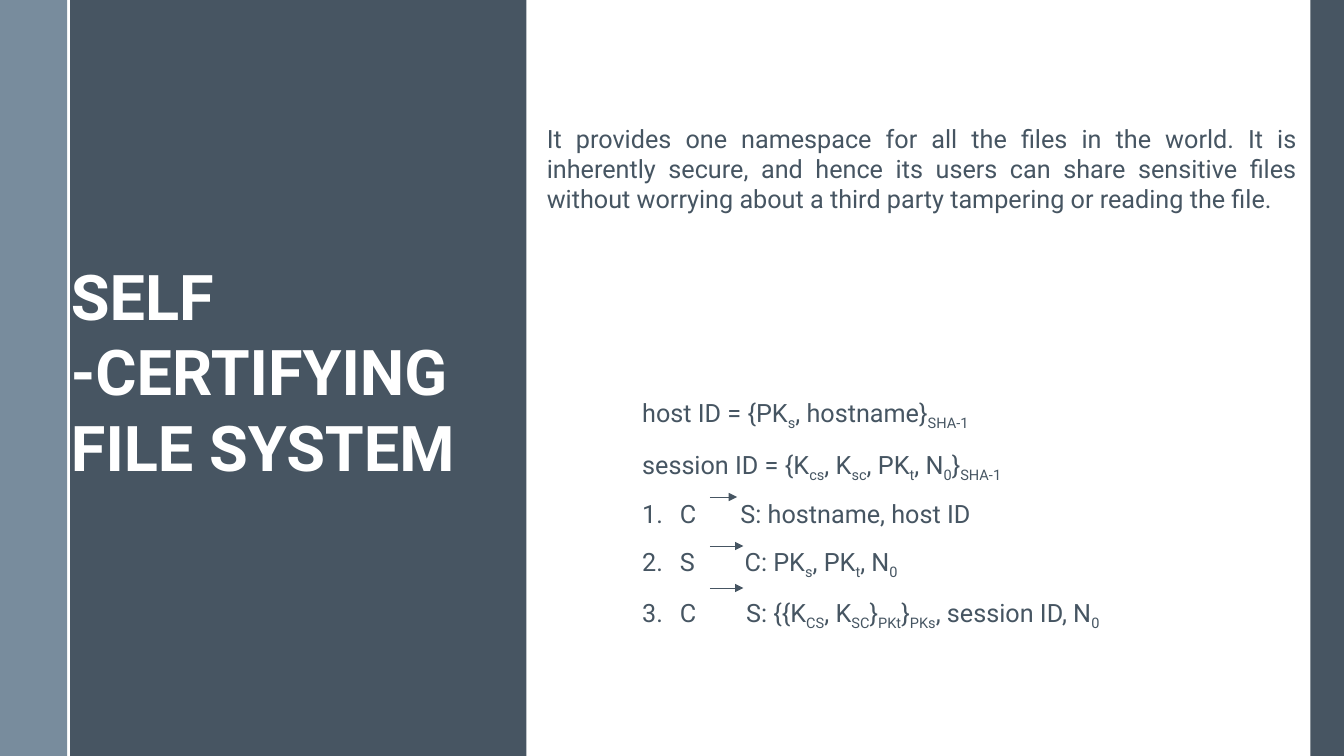
from lxml.etree import SubElement
from pptx import Presentation
from pptx.dml.color import RGBColor
from pptx.enum.shapes import MSO_CONNECTOR, MSO_SHAPE
from pptx.enum.text import MSO_ANCHOR, MSO_AUTO_SIZE, PP_ALIGN
from pptx.oxml.ns import qn
from pptx.util import Pt

COLORS = {"panel": "475562", "text": "465562", "stripe": "6A8093", "white": "FFFFFF"}
FONT = "Roboto"
WIDTH, HEIGHT = 960, 540
PANEL_LEFT = 49

INTRO = (
    "It provides one namespace for all the files in the world. It is inherently secure, "
    "and hence its users can share sensitive files without worrying about a third party "
    "tampering or reading the file."
)
# Text between underscores is set as a subscript.
DEFINITIONS = [
    "host ID = {PK_s_, hostname}_SHA-1_",
    "session ID = {K_cs_, K_sc_, PK_t_, N_0_}_SHA-1_",
]
# Sender, width left for the arrow, message, arrow height on the page, arrow length
STEPS = [
    ("C", 27, "S: hostname, host ID", 355, 19.5),
    ("S", 31, "C: PK_s_, PK_t_, N_0_", 390, 24),
    ("C", 31, "S: {{K_CS_, K_SC_}_PKt_}_PKs_, session ID, N_0_", 420, 24),
]


def rgb(name):
    return RGBColor.from_string(COLORS[name])


def place(shape, left, top, width, height):
    shape.left, shape.top, shape.width, shape.height = map(Pt, (left, top, width, height))


def add_bar(slide, left, width, color, alpha=None):
    """Add a full-height bar behind the placeholders."""
    bar = slide.shapes.add_shape(MSO_SHAPE.RECTANGLE, Pt(left), 0, Pt(width), Pt(HEIGHT))
    bar.shadow.inherit = False
    bar.fill.solid()
    bar.fill.fore_color.rgb = rgb(color)
    bar.line.fill.background()
    if alpha:
        fill_color = bar.element.spPr.find(qn("a:solidFill"))[0]
        SubElement(fill_color, qn("a:alpha"), val=str(alpha * 1000))
    slide.shapes.title.element.addprevious(bar.element)


def add_line(slide, start, end, color, weight, arrow=False):
    line = slide.shapes.add_connector(MSO_CONNECTOR.STRAIGHT, *map(Pt, start + end))
    line.line.color.rgb = rgb(color)
    line.line.width = Pt(weight)
    if arrow:
        SubElement(line.line._get_or_add_ln(), qn("a:tailEnd"), type="triangle")
    SubElement(line.element.spPr, qn("a:effectLst"))
    return line


def prepare_frame(box):
    frame = box.text_frame
    frame.word_wrap = True
    frame.auto_size = MSO_AUTO_SIZE.NONE
    frame.vertical_anchor = MSO_ANCHOR.TOP
    return frame


def add_span(para, text, size, color, bold):
    span = para.add_run()
    span.text = text
    span.font.name = FONT
    span.font.size = Pt(size)
    span.font.bold = bold
    span.font.color.rgb = rgb(color)
    return span


def write(para, text, size=18, color="text", bold=False, align=PP_ALIGN.LEFT,
          spacing=1.0, numbered=False, sender="", gap=0):
    """Write one paragraph, with an optional sender and a gap before the text."""
    para.alignment = align
    para.line_spacing = spacing
    para.space_before = para.space_after = Pt(0)
    properties = para._p.get_or_add_pPr()
    indent = Pt(27) if numbered else 0
    properties.set("marL", str(indent))
    properties.set("indent", str(-indent))
    if numbered:
        SubElement(properties, qn("a:buFont"), typeface=FONT)
        SubElement(properties, qn("a:buAutoNum"), type="arabicPeriod")
    else:
        SubElement(properties, qn("a:buNone"))
    if sender:
        add_span(para, sender, size, color, bold)
        space = add_span(para, " ", size, color, bold)
        space.font._element.set("spc", str(gap * 100))
    for index, part in enumerate(text.split("_")):
        if part:
            span = add_span(para, part, size, color, bold)
            if index % 2:
                span.font._element.set("baseline", "-25000")


def add_protocol(slide, box):
    place(box, 451.5, 268, 376.5, 204)
    box.fill.solid()
    box.fill.fore_color.rgb = rgb("white")
    frame = prepare_frame(box)
    for index, text in enumerate(DEFINITIONS):
        para = frame.add_paragraph() if index else frame.paragraphs[0]
        write(para, text, spacing=1.5)
    for sender, gap, message, top, length in STEPS:
        write(frame.add_paragraph(), message, spacing=1.5, numbered=True,
              sender=sender, gap=gap)
        add_line(slide, (507, top), (507 + length, top), "text", 0.5, arrow=True)


def main():
    deck = Presentation()
    deck.slide_width, deck.slide_height = Pt(WIDTH), Pt(HEIGHT)
    slide = deck.slides.add_slide(deck.slide_layouts[1])
    title, body = slide.shapes.title, slide.placeholders[1]

    add_bar(slide, PANEL_LEFT, 327, "panel")
    add_bar(slide, 0, 48, "stripe", alpha=90)
    add_bar(slide, 936, 24, "panel")
    divider = add_line(slide, (PANEL_LEFT, 0), (PANEL_LEFT, HEIGHT), "white", 1.5)
    title.element.addprevious(divider.element)

    place(title, 43.5, 180, 325.5, 170.5)
    write(prepare_frame(title).paragraphs[0], "SELF -CERTIFYING FILE SYSTEM",
          size=45, color="white", bold=True)

    intro = slide.shapes.add_textbox(Pt(383.5), Pt(84.5), Pt(550), Pt(72))
    write(prepare_frame(intro).paragraphs[0], INTRO, align=PP_ALIGN.JUSTIFY)

    add_protocol(slide, body)
    deck.save("out.pptx")


if __name__ == "__main__":
    main()
